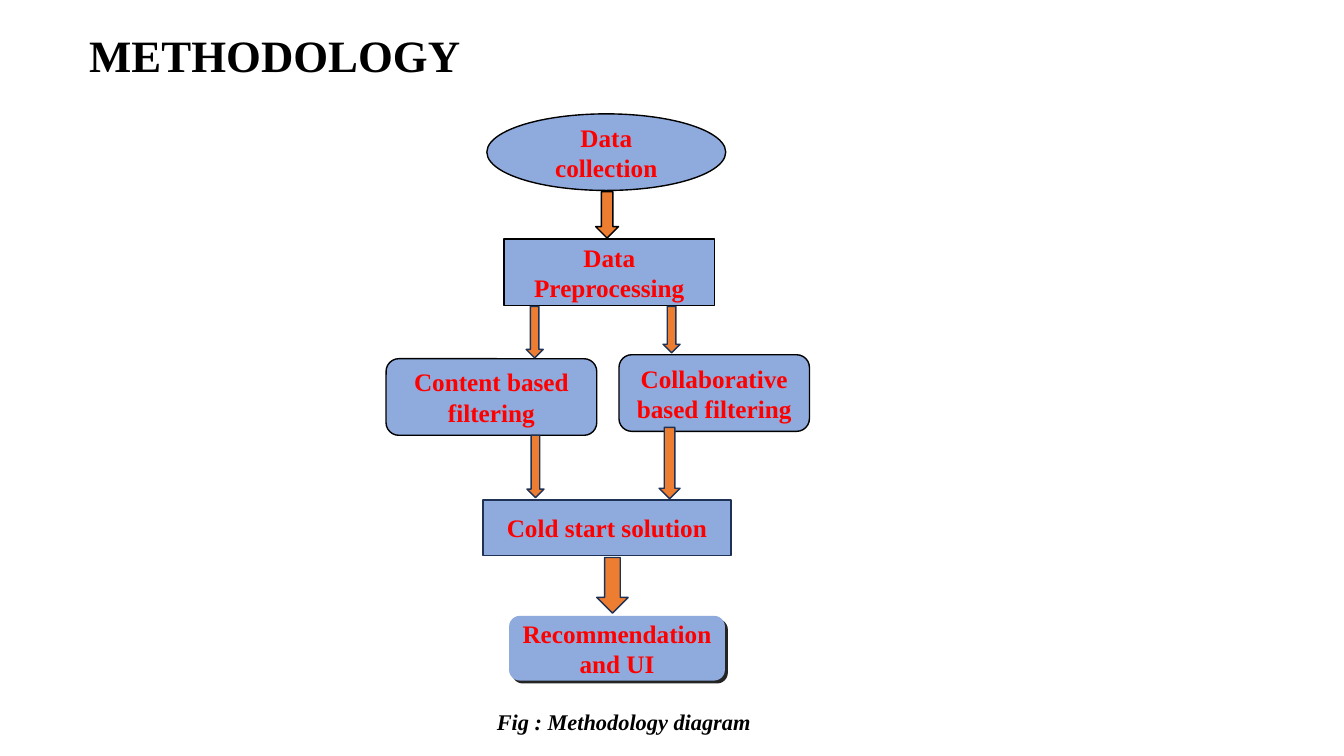
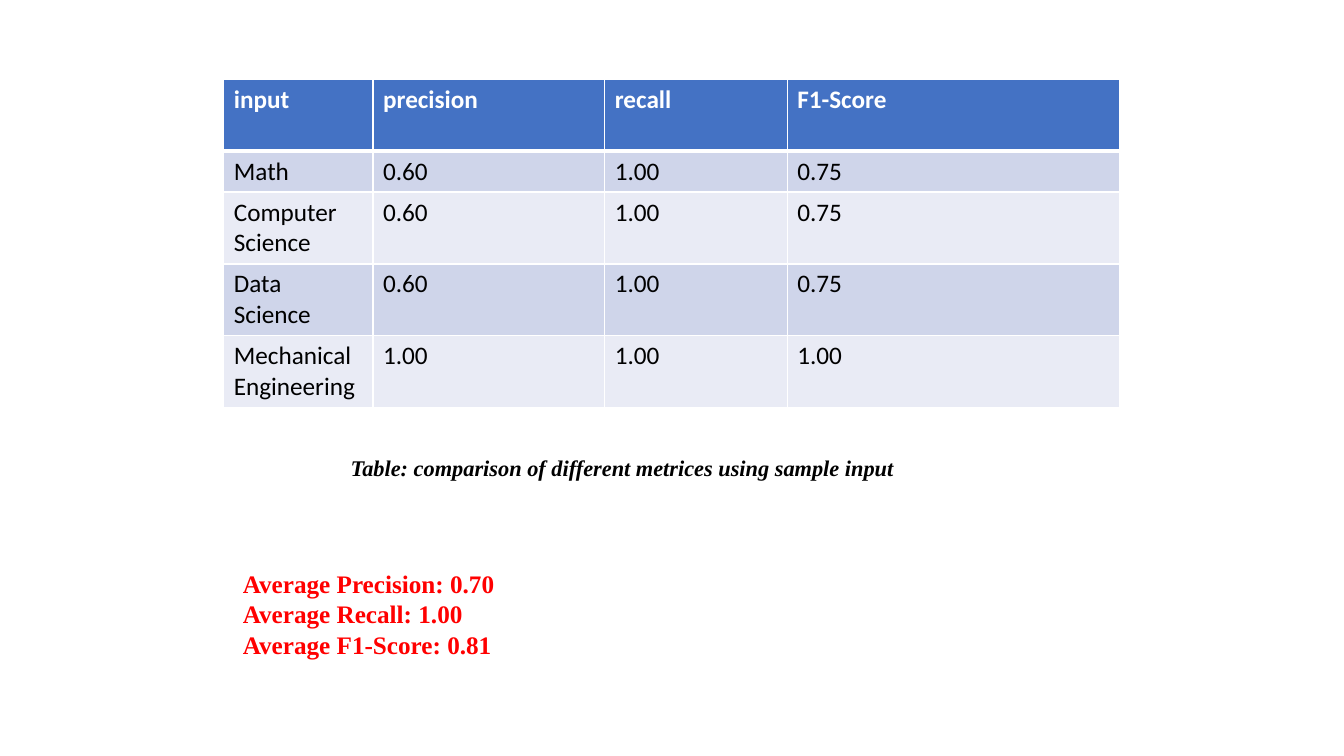
import pptx
import pptx.util
import pptx.dml.color
import pptx.enum.shapes
import pptx.enum.text
import pptx.oxml
import pptx.oxml.ns

Cm = pptx.util.Cm
Pt = pptx.util.Pt
Shape = pptx.enum.shapes.MSO_SHAPE
Align = pptx.enum.text.PP_ALIGN
Anchor = pptx.enum.text.MSO_ANCHOR

COLORS = {
    "black": "000000",
    "white": "FFFFFF",
    "red": "FF0000",
    "node": "8FAADC",
    "arrow": "ED7D31",
    "navy": "1E3256",
    "header": "4472C4",
    "odd": "CFD5EA",
    "even": "E9EBF5",
}
SERIF = "Times New Roman"
SANS = "Calibri"
STRONG = {"size": 18, "color": "red", "bold": True}
CAPTION = {"size": 16, "bold": True, "italic": True}


def rgb(name):
    return pptx.dml.color.RGBColor.from_string(COLORS[name])


def write_text(frame, text, size=18, color="black", font=SERIF, bold=False,
               italic=False, align=Align.LEFT, spacing=None):
    for index, line in enumerate(text.split("\n")):
        para = frame.add_paragraph() if index else frame.paragraphs[0]
        para.alignment = align
        if spacing:
            para.line_spacing = spacing
        span = para.add_run()
        span.text = line
        span.font.size = Pt(size)
        span.font.name = font
        span.font.bold = bold
        span.font.italic = italic
        span.font.color.rgb = rgb(color)


def add_element(parent, xml):
    namespace = pptx.oxml.ns.nsdecls("a")
    parent.append(pptx.oxml.parse_xml(xml.replace(" ", f" {namespace} ", 1)))


class Presenter:
    def __init__(self):
        self.deck = pptx.Presentation()
        self.deck.slide_width = Cm(33.87)
        self.deck.slide_height = Cm(19.05)
        self.page = None

    def new_page(self):
        self.page = self.deck.slides.add_slide(self.deck.slide_layouts[6])

    def text(self, text, place, anchor=Anchor.TOP, **style):
        box = self.page.shapes.add_textbox(*map(Cm, place))
        box.text_frame.word_wrap = True
        box.text_frame.vertical_anchor = anchor
        write_text(box.text_frame, text, **style)

    def title(self, text):
        self.text(text, (2, 0.28, 29.2, 2.36), Anchor.MIDDLE, size=32,
                  bold=True, spacing=0.9)

    def shape(self, kind, place, fill, line):
        shape = self.page.shapes.add_shape(kind, *map(Cm, place))
        shape.shadow.inherit = False
        shape.fill.solid()
        shape.fill.fore_color.rgb = rgb(fill)
        if line:
            shape.line.color.rgb = rgb(line)
            shape.line.width = Pt(1)
        else:
            shape.line.fill.background()
        return shape

    def node(self, kind, text, place, line="black"):
        shape = self.shape(kind, place, "node", line)
        shape.text_frame.word_wrap = True
        shape.text_frame.vertical_anchor = Anchor.MIDDLE
        write_text(shape.text_frame, text, align=Align.CENTER, **STRONG)
        return shape

    def raised_node(self, text, place):
        shape = self.node(Shape.ROUNDED_RECTANGLE, text, place, line=None)
        effects = shape.element.spPr.find(pptx.oxml.ns.qn("a:effectLst"))
        add_element(effects, f'<a:outerShdw dist="{Pt(3)}" dir="2700000" algn="tl" '
                    f'rotWithShape="0"><a:srgbClr val="{COLORS["black"]}">'
                    '<a:alpha val="85000"/></a:srgbClr></a:outerShdw>')

    def arrow(self, place, line="navy"):
        self.shape(Shape.DOWN_ARROW, place, "arrow", line)

    def border(self, cell, side, width):
        add_element(cell._tc.get_or_add_tcPr(),
                    f'<a:ln{side} w="{Pt(width)}"><a:solidFill>'
                    f'<a:srgbClr val="{COLORS["white"]}"/></a:solidFill></a:ln{side}>')

    def table(self, rows, left, top, widths, heights):
        table = self.page.shapes.add_table(
            len(rows), len(widths), Cm(left), Cm(top),
            Cm(sum(widths)), Cm(sum(heights))).table
        for column, width in zip(table.columns, widths):
            column.width = Cm(width)
        for index, (values, height) in enumerate(zip(rows, heights)):
            table.rows[index].height = Cm(height)
            header = index == 0
            fill = "header" if header else ("even", "odd")[index % 2]
            for cell, value in zip(table.rows[index].cells, values):
                for side in "LRTB":
                    thick = (header and side == "B") or (index == 1 and side == "T")
                    self.border(cell, side, 3 if thick else 1)
                cell.fill.solid()
                cell.fill.fore_color.rgb = rgb(fill)
                write_text(cell.text_frame, value, font=SANS, bold=header,
                           color="white" if header else "black")


def methodology(show):
    show.new_page()
    show.title("METHODOLOGY")
    show.node(Shape.OVAL, "Data collection", (12.27, 2.87, 6.02, 1.93))
    show.arrow((15.01, 4.83, 0.58, 1.17), line="black")
    show.node(Shape.RECTANGLE, "Data Preprocessing", (12.7, 6.02, 5.31, 1.68))
    show.node(Shape.ROUNDED_RECTANGLE, "Content based filtering",
              (9.73, 9.04, 5.31, 1.93))
    show.node(Shape.ROUNDED_RECTANGLE, "Collaborative based filtering",
              (15.6, 8.94, 4.8, 1.93))
    show.node(Shape.RECTANGLE, "Cold start solution",
              (12.17, 12.6, 6.25, 1.4), line="navy")
    show.raised_node("Recommendation and UI", (12.83, 15.52, 5.44, 1.63))
    for place in [(13.26, 7.72, 0.43, 1.3), (16.71, 7.72, 0.43, 1.17),
                  (13.28, 10.97, 0.43, 1.57), (16.61, 10.77, 0.53, 1.8),
                  (15.04, 14.05, 0.79, 1.4)]:
        show.arrow(place)
    show.text("Fig : Methodology diagram", (12.27, 17.73, 8, 0.94), **CAPTION)


def results(show):
    show.new_page()
    show.table([
        ("input", "precision", "recall", "F1-Score"),
        ("Math", "0.60", "1.00", "0.75"),
        ("Computer Science", "0.60", "1.00", "0.75"),
        ("Data Science", "0.60", "1.00", "0.75"),
        ("Mechanical Engineering", "1.00", "1.00", "1.00"),
    ], 5.64, 2.01, (3.76, 5.84, 4.6, 8.38), (1.8, 1.03, 1.81, 1.81, 1.81))
    show.text("Table: comparison of different metrices using sample input",
              (8.59, 11.33, 16.71, 0.94), **CAPTION)
    show.text("Average Precision: 0.70\nAverage Recall: 1.00\nAverage F1-Score: 0.81",
              (5.87, 14.2, 16.18, 2.57), **STRONG)


def main():
    show = Presenter()
    methodology(show)
    results(show)
    show.deck.save("out.pptx")


if __name__ == "__main__":
    main()
